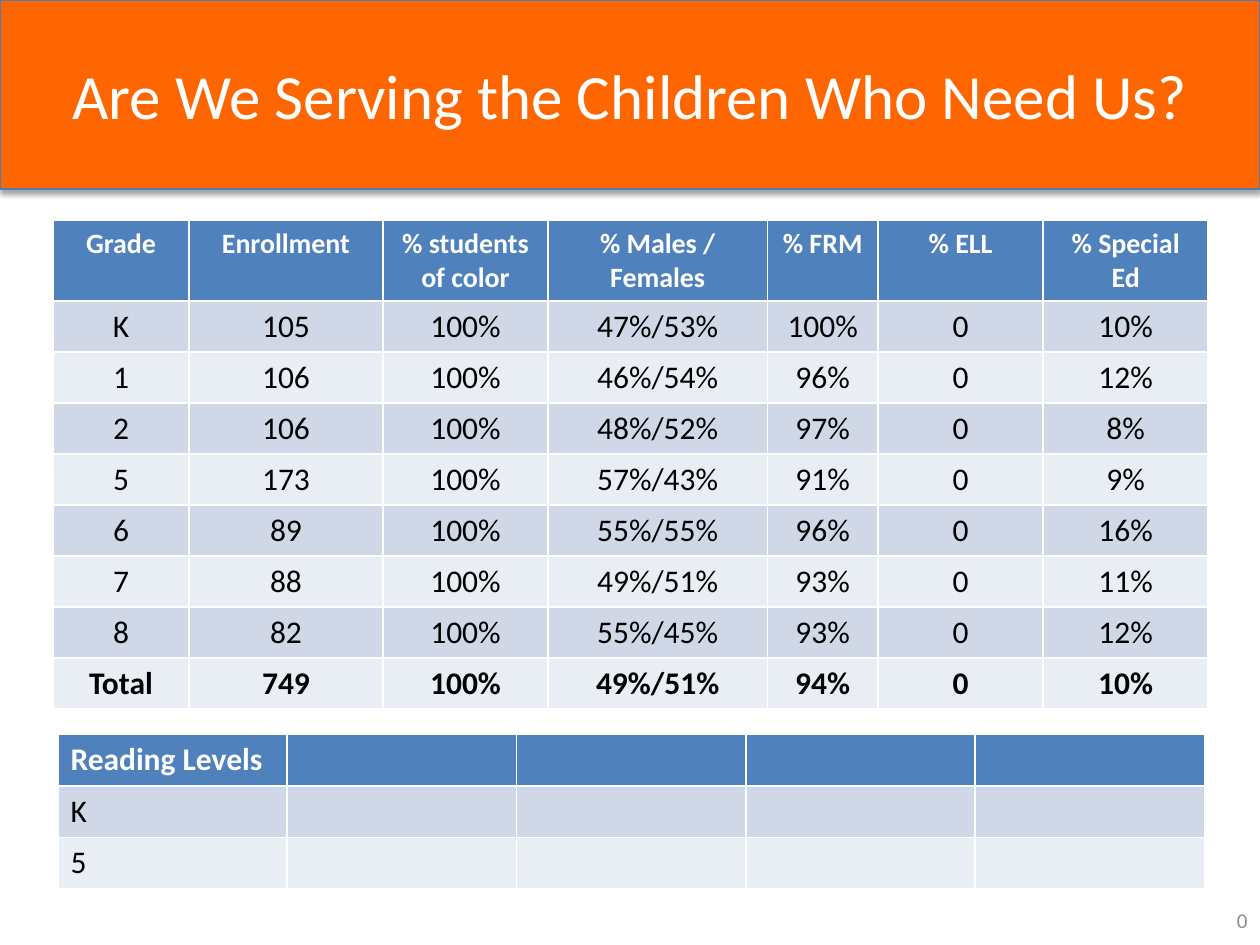
from dataclasses import dataclass

from lxml.etree import SubElement
from pptx import Presentation
from pptx.dml.color import RGBColor
from pptx.enum.text import MSO_ANCHOR, MSO_AUTO_SIZE, PP_ALIGN
from pptx.oxml.ns import qn
from pptx.util import Inches, Pt


@dataclass(frozen=True)
class Theme:
    font: str = "Calibri"
    banner: str = "FF6600"
    banner_line: str = "4B7EBC"
    header: str = "4F81BD"
    bands: tuple = ("D0D8E8", "E9EDF4")
    light_text: str = "FFFFFF"
    dark_text: str = "000000"
    muted_text: str = "8C8C8C"
    shadow: str = "000000"
    title_size: int = 36
    table_size: int = 18
    compact_size: int = 16
    number_size: int = 12


class SlideBuilder:
    def __init__(self, slide, theme):
        self.slide = slide
        self.theme = theme

    def set_text(self, text_frame, text, size, color, align, bold=False):
        paragraph = text_frame.paragraphs[0]
        paragraph.text = text
        paragraph.alignment = align
        font = paragraph.font
        font.name = self.theme.font
        font.size = Pt(size)
        font.bold = bold
        font.color.rgb = RGBColor.from_string(color)

    def add_shadow(self, shape):
        effects = SubElement(shape.element.spPr, qn("a:effectLst"))
        shadow = SubElement(
            effects, qn("a:outerShdw"), blurRad=str(Pt(3.1)),
            dist=str(Pt(1.8)), dir="5400000", rotWithShape="0",
        )
        color = SubElement(shadow, qn("a:srgbClr"), val=self.theme.shadow)
        SubElement(color, qn("a:alpha"), val="35000")

    def banner_title(self, text, width, height):
        title = self.slide.shapes.title
        title.left, title.top = Inches(0), Inches(0)
        title.width, title.height = Inches(width), Inches(height)
        title.fill.solid()
        title.fill.fore_color.rgb = RGBColor.from_string(self.theme.banner)
        title.line.color.rgb = RGBColor.from_string(self.theme.banner_line)
        title.line.width = Pt(0.75)
        self.add_shadow(title)
        title.text_frame.auto_size = MSO_AUTO_SIZE.NONE
        title.text_frame.vertical_anchor = MSO_ANCHOR.MIDDLE
        self.set_text(title.text_frame, text, self.theme.title_size,
                      self.theme.light_text, PP_ALIGN.CENTER)

    def page_number(self, text, left, top, width, height):
        box = self.slide.shapes.add_textbox(
            Inches(left), Inches(top), Inches(width), Inches(height))
        box.text_frame.word_wrap = True
        box.text_frame.vertical_anchor = MSO_ANCHOR.MIDDLE
        self.set_text(box.text_frame, text, self.theme.number_size,
                      self.theme.muted_text, PP_ALIGN.RIGHT)

    def table(self, rows, left, top, height, column_widths, header_height,
              header_size, align, total_row=False):
        theme = self.theme
        table = self.slide.shapes.add_table(
            len(rows), len(column_widths), Inches(left), Inches(top),
            Inches(sum(column_widths)), Inches(height)).table
        for column, width in zip(table.columns, column_widths):
            column.width = Inches(width)
        body_height = (height - header_height) / (len(rows) - 1)
        for row_index, values in enumerate(rows):
            is_header = row_index == 0
            is_total = total_row and row_index == len(rows) - 1
            row = table.rows[row_index]
            row.height = Inches(header_height if is_header else body_height)
            fill = theme.header if is_header else theme.bands[(row_index - 1) % 2]
            color = theme.light_text if is_header else theme.dark_text
            size = header_size if is_header else theme.table_size
            for cell, value in zip(row.cells, values):
                cell.fill.solid()
                cell.fill.fore_color.rgb = RGBColor.from_string(fill)
                self.set_text(cell.text_frame, value, size, color, align,
                              bold=is_header or is_total)


def main():
    presentation = Presentation()
    presentation.slide_width = Inches(10)
    presentation.slide_height = Inches(7.5)
    slide = presentation.slides.add_slide(presentation.slide_layouts[5])
    theme = Theme()
    builder = SlideBuilder(slide, theme)

    builder.banner_title("Are We Serving the Children Who Need Us?", 10, 1.5)

    reading_levels = [
        [label] + [""] * 4 for label in ("Reading Levels", "K", "5")
    ]
    builder.table(reading_levels, 0.46, 5.83, 1.22, [1.82] * 5, 0.41,
                  theme.table_size, PP_ALIGN.LEFT)

    builder.page_number("0", 7.67, 7.1, 2.33, 0.4)

    enrollment = [
        ("Grade", "Enrollment", "% students of color", "% Males / Females",
         "% FRM", "% ELL", "% Special Ed"),
        ("K", "105", "100%", "47%/53%", "100%", "0", "10%"),
        ("1", "106", "100%", "46%/54%", "96%", "0", "12%"),
        ("2", "106", "100%", "48%/52%", "97%", "0", "8%"),
        ("5", "173", "100%", "57%/43%", "91%", "0", "9%"),
        ("6", "89", "100%", "55%/55%", "96%", "0", "16%"),
        ("7", "88", "100%", "49%/51%", "93%", "0", "11%"),
        ("8", "82", "100%", "55%/45%", "93%", "0", "12%"),
        ("Total", "749", "100%", "49%/51%", "94%", "0", "10%"),
    ]
    builder.table(enrollment, 0.42, 1.75, 3.88,
                  [1.08, 1.54, 1.31, 1.74, 0.88, 1.31, 1.31], 0.64,
                  theme.compact_size, PP_ALIGN.CENTER, total_row=True)

    presentation.save("out.pptx")


if __name__ == "__main__":
    main()
